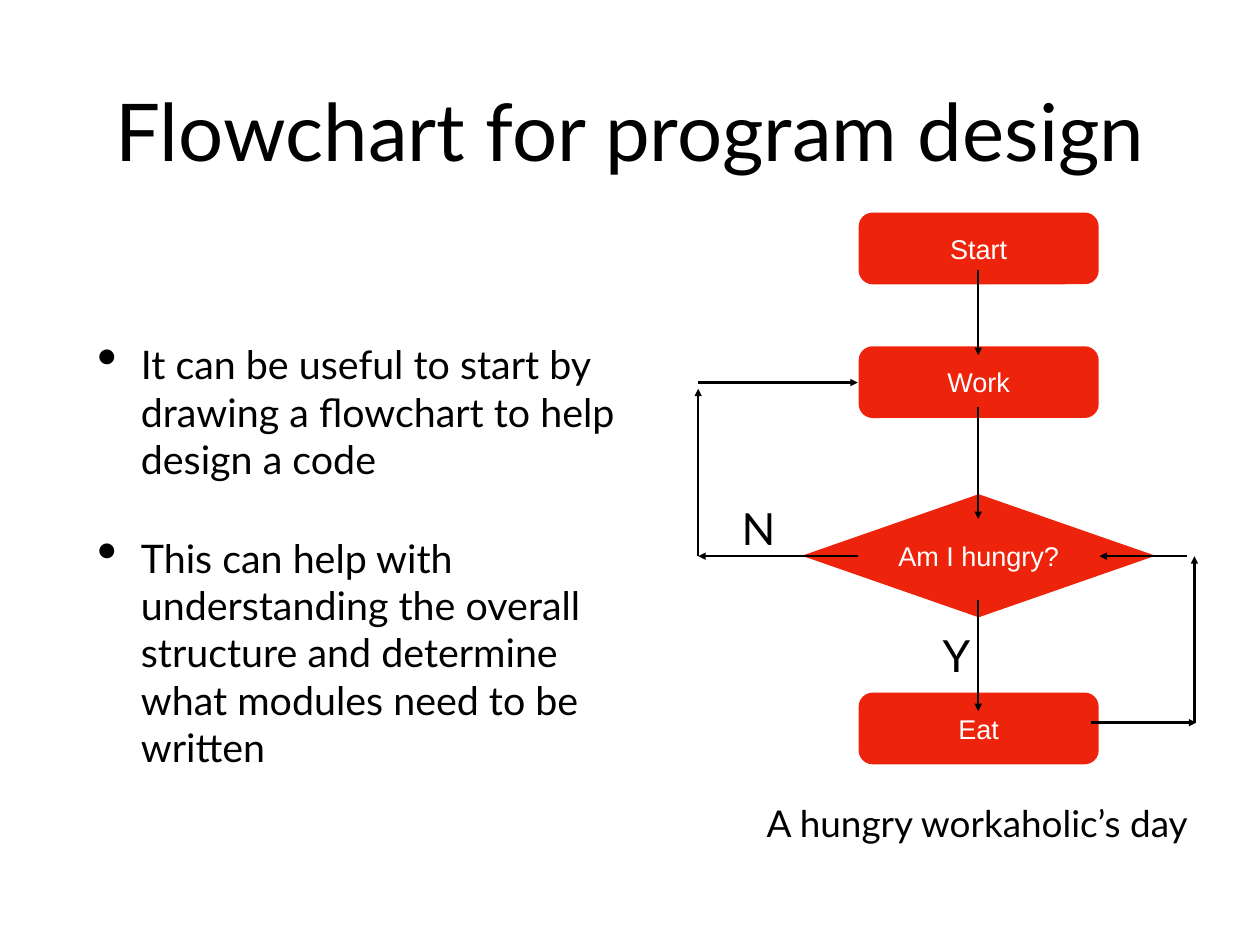
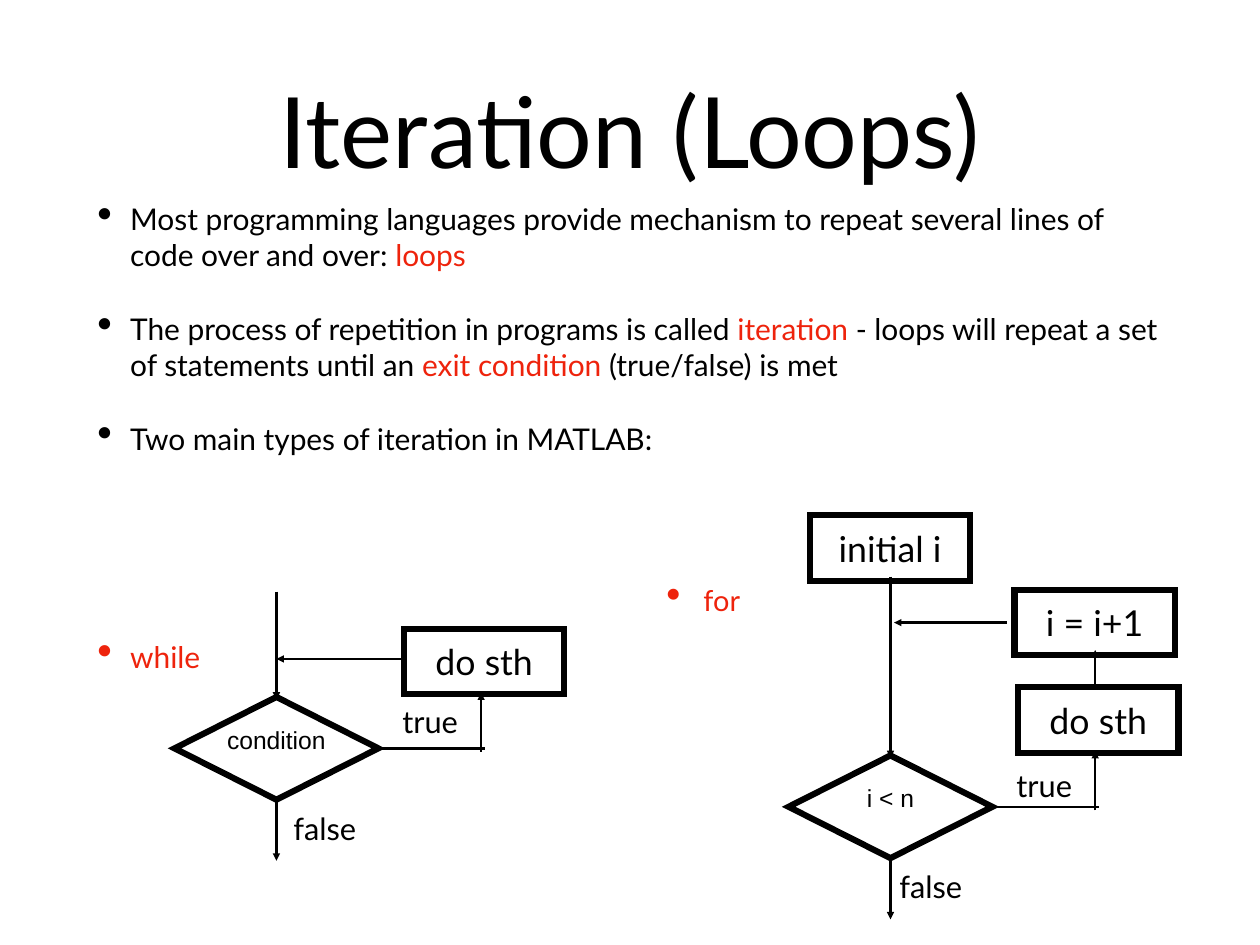
from dataclasses import dataclass

from lxml.etree import SubElement
from pptx import Presentation
from pptx.dml.color import RGBColor
from pptx.enum.shapes import MSO_CONNECTOR as Connector, MSO_SHAPE as Preset
from pptx.enum.text import MSO_ANCHOR as Anchor, MSO_AUTO_SIZE as AutoSize, PP_ALIGN as Align
from pptx.oxml.ns import qn
from pptx.util import Inches, Pt


@dataclass(frozen=True)
class Theme:
    ink: RGBColor = RGBColor(0, 0, 0)
    accent: RGBColor = RGBColor(0xEE, 0x23, 0x0C)
    paper: RGBColor = RGBColor(255, 255, 255)
    body_font: str = "Lato"
    node_font: str = "Arial"
    long_title: float = 64.8
    short_title: float = 80
    branch: float = 36
    large_body: float = 32
    caption: float = 30
    step: float = 29
    label: float = 25
    small_body: float = 24.3
    for_item: float = 23.5
    node: float = 22
    test: float = 20
    arrow_width: float = 2
    outline_width: float = 5
    inset: float = 0.06


THEME = Theme()


@dataclass(frozen=True)
class Frame:
    left: float
    top: float
    width: float
    height: float

    def lengths(self) -> tuple:
        return tuple(Inches(n) for n in (self.left, self.top, self.width, self.height))


@dataclass(frozen=True)
class Arrow:
    x1: float
    y1: float
    x2: float
    y2: float
    has_head: bool = True


@dataclass(frozen=True)
class Label:
    text: str
    frame: Frame
    size: float


@dataclass(frozen=True)
class Node:
    text: str
    preset: Preset
    frame: Frame


@dataclass(frozen=True)
class Span:
    text: str
    accent: bool = False


@dataclass(frozen=True)
class Item:
    spans: tuple
    line_spacing: float = 1.0


@dataclass(frozen=True)
class BulletStyle:
    size: float
    indent: float
    space_before: float


def set_frame_style(text_frame, wrap: bool = True) -> None:
    text_frame.word_wrap = wrap
    text_frame.auto_size = AutoSize.NONE
    text_frame.vertical_anchor = Anchor.MIDDLE
    for side in ("left", "top", "right", "bottom"):
        setattr(text_frame, f"margin_{side}", Inches(THEME.inset))


def set_font(paragraph, size: float, color: RGBColor = THEME.ink,
             name: str = THEME.body_font) -> None:
    paragraph.font.size = Pt(size)
    paragraph.font.name = name
    paragraph.font.color.rgb = color


def set_centred_text(shape, text: str, size: float, color: RGBColor = THEME.ink,
                     name: str = THEME.body_font, wrap: bool = False):
    set_frame_style(shape.text_frame, wrap)
    paragraph = shape.text_frame.paragraphs[0]
    paragraph.text = text
    paragraph.alignment = Align.CENTER
    set_font(paragraph, size, color, name)
    return paragraph


def add_page(deck, title: str, size: float):
    page = deck.slides.add_slide(deck.slide_layouts[5])
    box = page.shapes.title
    box.left, box.top, box.width, box.height = Frame(1.04, 0.28, 12.14, 2.36).lengths()
    set_centred_text(box, title, size, wrap=True)
    return page


def add_bullets(page, frame: Frame, items: list[Item], style: BulletStyle) -> None:
    text_frame = page.shapes.add_textbox(*frame.lengths()).text_frame
    set_frame_style(text_frame)
    for index, item in enumerate(items):
        para = text_frame.add_paragraph() if index else text_frame.paragraphs[0]
        para.space_before = Pt(style.space_before)
        para.line_spacing = item.line_spacing
        properties = para._p.get_or_add_pPr()
        properties.set("marL", str(Inches(style.indent)))
        properties.set("indent", str(-Inches(style.indent)))
        SubElement(properties, qn("a:buSzPct"), val="145000")
        SubElement(properties, qn("a:buChar"), char="•")
        all_accent = all(span.accent for span in item.spans)
        set_font(para, style.size, THEME.accent if all_accent else THEME.ink)
        for span in item.spans:
            run = para.add_run()
            run.text = span.text
            if span.accent and not all_accent:
                run.font.color.rgb = THEME.accent


def add_arrow(page, arrow: Arrow) -> None:
    ends = (Inches(n) for n in (arrow.x1, arrow.y1, arrow.x2, arrow.y2))
    connector = page.shapes.add_connector(Connector.STRAIGHT, *ends)
    connector.line.color.rgb = THEME.ink
    connector.line.width = Pt(THEME.arrow_width)
    properties = connector._element.spPr
    if arrow.has_head:
        SubElement(properties.find(qn("a:ln")), qn("a:tailEnd"), type="triangle")
    SubElement(properties, qn("a:effectLst"))


def add_label(page, label: Label) -> None:
    box = page.shapes.add_textbox(*label.frame.lengths())
    set_centred_text(box, label.text, label.size)


def add_filled_node(page, node: Node) -> None:
    shape = page.shapes.add_shape(node.preset, *node.frame.lengths())
    if node.preset == Preset.ROUNDED_RECTANGLE:
        shape.adjustments[0] = 0.195
    shape.shadow.inherit = False
    shape.fill.solid()
    shape.fill.fore_color.rgb = THEME.accent
    shape.line.fill.background()
    set_centred_text(shape, node.text, THEME.node, THEME.paper, THEME.node_font)


def add_outlined_shape(page, preset: Preset, frame: Frame):
    shape = page.shapes.add_shape(preset, *frame.lengths())
    shape.shadow.inherit = False
    shape.fill.background()
    shape.line.color.rgb = THEME.ink
    shape.line.width = Pt(THEME.outline_width)
    SubElement(shape._element.spPr.find(qn("a:ln")), qn("a:miter"), lim="400000")
    return shape


def add_step(page, text: str, left: float, top: float) -> None:
    shape = add_outlined_shape(page, Preset.RECTANGLE, Frame(left, top, 1.81, 0.74))
    set_centred_text(shape, text, THEME.step)


def add_loop_test(page, x: float, y: float, condition: str,
                  true_rise: float, false_shift: float) -> None:
    """Draw a test centred on (x, y), its exit below and its body at upper right."""
    half_width, half_height = 1.15, 0.58
    diamond = add_outlined_shape(page, Preset.DIAMOND, Frame(
        x - half_width, y - half_height, 2 * half_width, 2 * half_height))
    paragraph = set_centred_text(diamond, condition, THEME.test, name=THEME.node_font)
    paragraph.line_spacing = 0.1
    add_step(page, "do sth", x + 1.44, y - 1.35)
    for arrow in (
        Arrow(x + half_width, y, x + 2.35, y, has_head=False),
        Arrow(x + 2.31, y + 0.04, x + 2.31, y - 0.63),
        Arrow(x, y + 0.61, x, y + 1.27),
    ):
        add_arrow(page, arrow)
    add_label(page, Label("true", Frame(x + 1.35, y - true_rise, 0.77, 0.58), THEME.label))
    add_label(page, Label("false", Frame(x + false_shift, y + 0.61, 0.85, 0.58), THEME.label))


def build_flowchart_page(deck) -> None:
    page = add_page(deck, "Flowchart for program design", THEME.long_title)
    add_bullets(page, Frame(1.04, 2.83, 6.37, 6.88), [
        Item((Span("It can be useful to start by drawing a flowchart to help design a code"),)),
        Item((Span("This can help with understanding the overall structure and determine "
                   "what modules need to be written"),)),
    ], BulletStyle(THEME.large_body, 0.49, 42))

    for text, top in (("Start", 2.4), ("Work", 3.91), ("Eat", 7.82)):
        add_filled_node(page, Node(text, Preset.ROUNDED_RECTANGLE, Frame(9.69, top, 2.71, 0.81)))
    add_filled_node(page, Node("Am I hungry?", Preset.DIAMOND, Frame(9.05, 5.58, 3.99, 1.39)))

    middle, no_side, return_side, test_level = 11.04, 7.88, 13.48, 6.28
    for arrow in (
        Arrow(middle, 3.05, middle, 4.01),
        Arrow(middle, 4.6, middle, 5.86),
        Arrow(middle, 6.77, middle, 8.03),
        Arrow(9.68, test_level, no_side, test_level),
        Arrow(no_side, test_level, no_side, 4.39),
        Arrow(no_side, 4.32, 9.68, 4.32),
        Arrow(12.31, 8.16, 13.5, 8.16),
        Arrow(return_side, 8.16, return_side, test_level),
        Arrow(13.4, test_level, 12.41, test_level),
    ):
        add_arrow(page, arrow)

    for label in (
        Label("Y", Frame(10.58, 7, 0.43, 0.79), THEME.branch),
        Label("N", Frame(8.3, 5.56, 0.52, 0.79), THEME.branch),
        Label("A hungry workaholic’s day", Frame(8.5, 8.95, 5.06, 0.68), THEME.caption),
    ):
        add_label(page, label)


def build_loops_page(deck) -> None:
    page = add_page(deck, "Iteration (Loops)", THEME.short_title)
    add_bullets(page, Frame(1.04, 2.83, 12.14, 4.22), [
        Item((Span("Most programming languages provide mechanism to repeat several lines "
                   "of code over and over: "), Span("loops", True))),
        Item((Span("The process of repetition in programs is called "),
              Span("iteration ", True),
              Span("- loops will repeat a set of statements until an"),
              Span(" exit condition ", True),
              Span("(true/false) is met"))),
        Item((Span("Two main types of iteration in MATLAB:"),)),
        Item((Span("while", True),), line_spacing=5.0),
    ], BulletStyle(THEME.small_body, 0.37, 31))
    add_bullets(page, Frame(7.46, 6.52, 1.5, 0.5), [Item((Span("for", True),))],
                BulletStyle(THEME.for_item, 0.42, 0))

    while_x, for_x, for_body_x = 3.12, 10.05, 12.36
    add_loop_test(page, while_x, 8.45, "condition", true_rise=0.6, false_shift=0.12)
    add_loop_test(page, for_x, 9.11, "i < n", true_rise=0.54, false_shift=0.03)
    add_step(page, "initial i", 9.14, 5.82)
    add_step(page, "i = i+1", 11.45, 6.66)
    for arrow in (
        Arrow(while_x, 6.68, while_x, 7.9),
        Arrow(4.57, 7.44, while_x, 7.44),
        Arrow(for_x, 6.51, for_x, 8.56),
        Arrow(11.36, 7.03, 10.09, 7.03),
        Arrow(for_body_x, 7.73, for_body_x, 7.34),
    ):
        add_arrow(page, arrow)


def main() -> None:
    deck = Presentation()
    deck.slide_width, deck.slide_height = Inches(14.22), Inches(10.67)
    build_flowchart_page(deck)
    build_loops_page(deck)
    deck.save("out.pptx")


if __name__ == "__main__":
    main()
